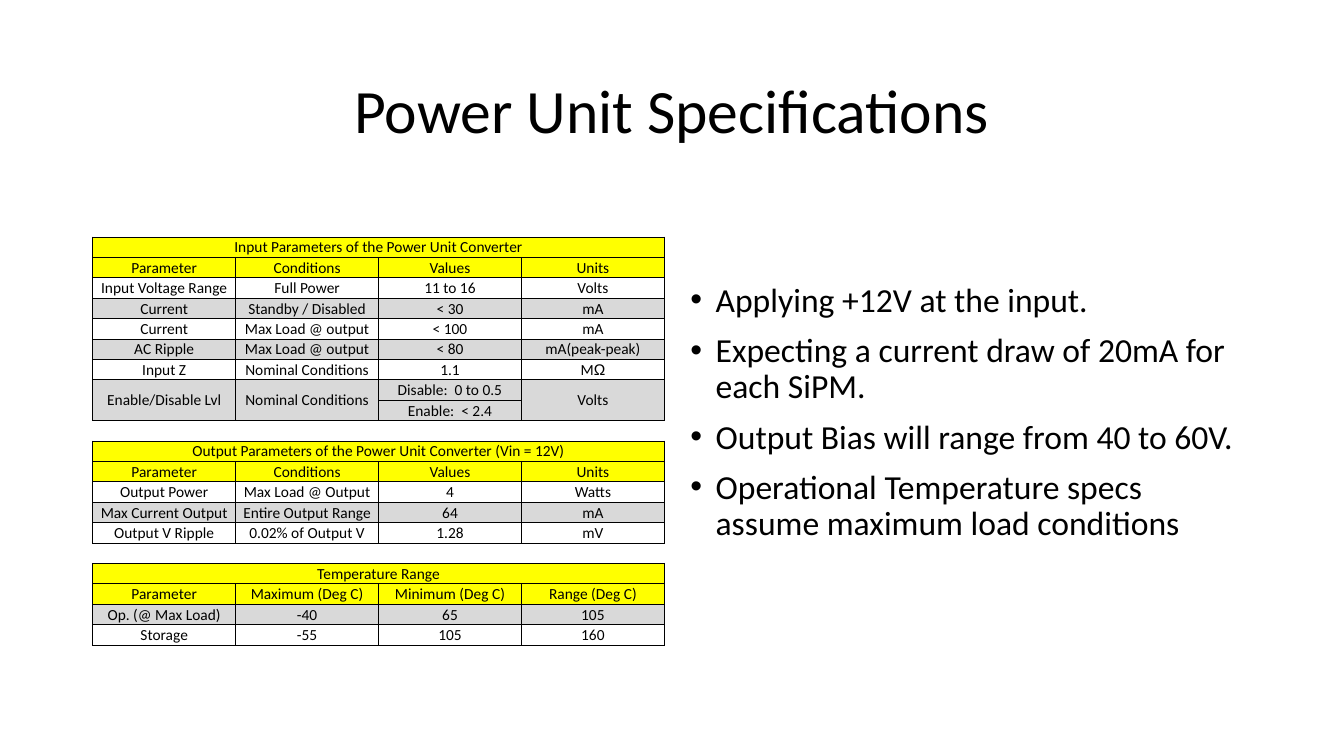
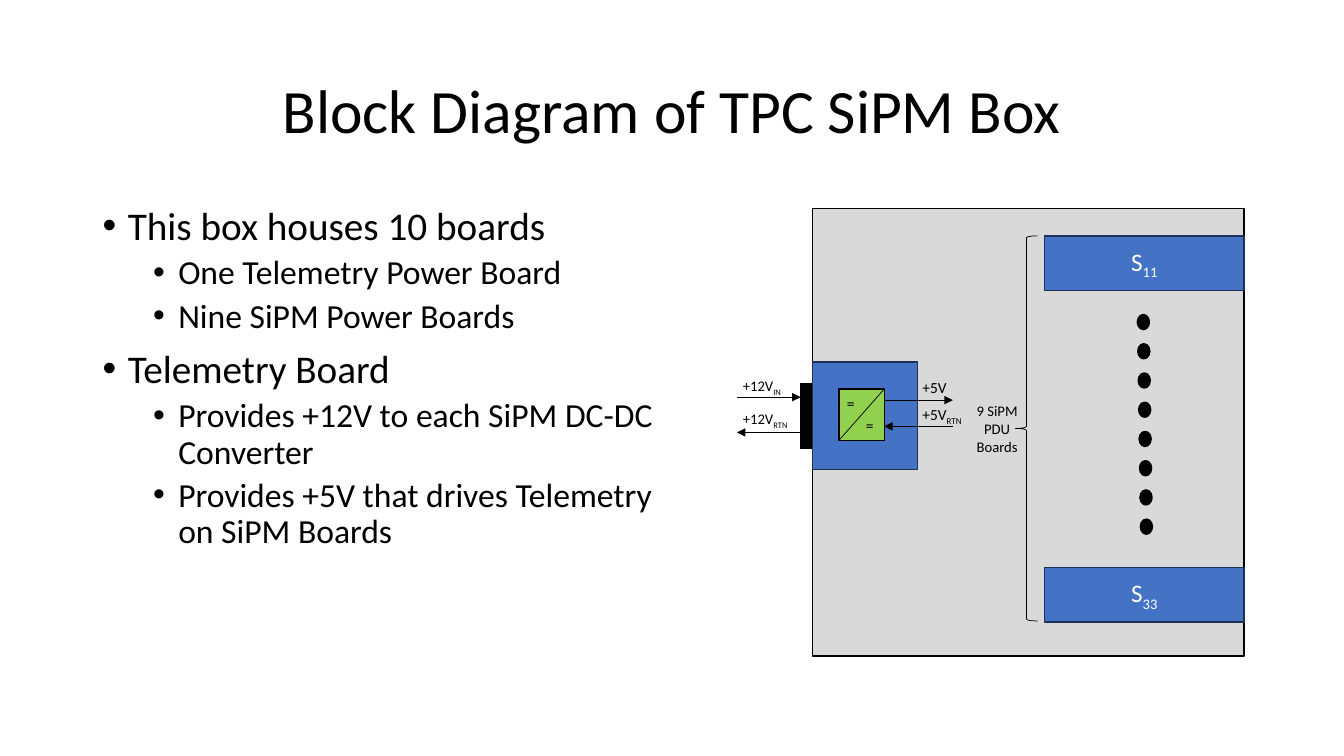
"""Build two slides: converter specifications and the block diagram of the SiPM box."""
from lxml.etree import SubElement
from pptx import Presentation
from pptx.dml.color import RGBColor
from pptx.enum.shapes import MSO_CONNECTOR, MSO_SHAPE
from pptx.enum.text import MSO_ANCHOR, MSO_AUTO_SIZE, PP_ALIGN
from pptx.oxml.ns import qn
from pptx.util import Inches, Pt

FONT = "Calibri"
BLACK, WHITE, GREY, YELLOW = "000000", "FFFFFF", "D9D9D9", "FFFF00"
BLUE, NAVY, GREEN = "4472C4", "1E3256", "92D050"
WIDTH, HEIGHT = 13.33, 7.5
MARGIN, COLUMN, GUTTER = 0.92, 5.67, 0.16
TITLE_AREA = (MARGIN, 0.4, WIDTH - 2 * MARGIN, 1.45)

SPEC_TITLE = "Power Unit Specifications"
SPEC_POINTS = [
    (0, "Applying +12V at the input."),
    (0, "Expecting a current draw of 20mA for each SiPM."),
    (0, "Output Bias will range from 40 to 60V."),
    (0, "Operational Temperature specs assume maximum load conditions"),
]
PARAMETER_HEAD = ("Parameter", "Conditions", "Values", "Units")
SPEC_SECTIONS = [
    ("Input Parameters of the Power Unit Converter", PARAMETER_HEAD, False, [
        ("Input Voltage Range", "Full Power", "11 to 16", "Volts"),
        ("Current", "Standby / Disabled", "< 30", "mA"),
        ("Current", "Max Load @ output", "< 100", "mA"),
        ("AC Ripple", "Max Load @ output", "< 80", "mA(peak-peak)"),
        ("Input Z", "Nominal Conditions", "1.1", "M|Ω"),
        ("Enable/Disable Lvl", "Nominal Conditions", "Disable:  0 to 0.5", "Volts"),
        (None, None, "Enable:  < 2.4", None),
    ]),
    ("Output Parameters of the Power Unit Converter (Vin = 12V)", PARAMETER_HEAD, False, [
        ("Output Power", "Max Load @ Output", "4", "Watts"),
        ("Max Current Output", "Entire Output Range", "64", "mA"),
        ("Output V Ripple", "0.02% of Output V", "1.28", "mV"),
    ]),
    ("Temperature Range",
     ("Parameter", "Maximum (Deg C)", "Minimum (Deg C)", "Range (Deg C)"), True, [
         ("Op. (@ Max Load)", "-40", "65", "105"),
         ("Storage", "-55", "105", "160"),
     ]),
]

BOX_TITLE = "Block Diagram of TPC SiPM Box"
BOX_POINTS = [
    (0, "This box houses 10 boards"),
    (1, "One Telemetry Power Board"),
    (1, "Nine SiPM Power Boards"),
    (0, "Telemetry Board"),
    (1, "Provides +12V to each SiPM DC-DC Converter"),
    (1, "Provides +5V that drives Telemetry on SiPM Boards"),
]
ENCLOSURE = (8.06, 2.07, 4.28, 4.44)
CONNECTOR_BLOCK = (7.94, 3.81, 0.12, 0.64)
TELEMETRY_BOARD = (8.06, 3.59, 1.04, 1.07)
CONVERTER = (8.32, 3.86, 0.45, 0.51)
SIPM_BOARDS = [("S|11", 2.34), ("S|33", 5.63)]
BOARD_LEFT, BOARD_WIDTH, BOARD_HEIGHT = 10.36, 1.98, 0.54
DOT_COUNT, DOT_TOP, DOT_STEP = 8, 3.12, 0.29
SIGNALS = [
    (7.31, 7.94, 3.94, "tailEnd"),
    (7.31, 7.94, 4.29, "headEnd"),
    (8.77, 9.45, 3.97, "tailEnd"),
    (8.77, 9.45, 4.23, "headEnd"),
]
LABELS = [
    ("+12V|IN", (7.27, 3.69, 0.62, 0.29), 10.5, PP_ALIGN.LEFT),
    ("+12V|RTN", (7.27, 4.02, 0.67, 0.28), 10.5, PP_ALIGN.LEFT),
    ("=", (8.3, 3.86, 0.28, 0.29), 11, PP_ALIGN.LEFT),
    ("=", (8.49, 4.08, 0.28, 0.29), 11, PP_ALIGN.LEFT),
    ("+5V", (9.05, 3.7, 0.45, 0.29), 11, PP_ALIGN.LEFT),
    ("+5V|RTN", (9.05, 3.97, 0.62, 0.29), 11, PP_ALIGN.LEFT),
    ("9 SiPM\vPDU\vBoards", (9.58, 3.94, 0.62, 0.63), 10.5, PP_ALIGN.CENTER),
]


def rgb(code):
    """Turn a hex string into a colour."""
    return RGBColor.from_string(code)


def inches(area):
    """Convert a sequence of inch values to lengths."""
    return [Inches(value) for value in area]


def subscript(run):
    """Lower a run below the baseline."""
    run.font._element.set("baseline", "-25000")


def symbol(run):
    """Set a run in the symbol font."""
    run.font.name = "Arial"


def write(paragraph, text, size, color=BLACK, align=PP_ALIGN.CENTER, tail_style=subscript):
    """Fill a paragraph; the part after a bar gets the tail style."""
    main, _, tail = text.partition("|")
    paragraph.text = main
    if tail:
        run = paragraph.add_run()
        run.text = tail
        tail_style(run)
    paragraph.alignment = align
    paragraph.font.name = FONT
    paragraph.font.size = Pt(size)
    paragraph.font.color.rgb = rgb(color)


def add_titled_slide(deck, title):
    """Add a title-only slide with the shared title style."""
    slide = deck.slides.add_slide(deck.slide_layouts[5])
    heading = slide.shapes.title
    heading.left, heading.top, heading.width, heading.height = inches(TITLE_AREA)
    heading.text_frame.vertical_anchor = MSO_ANCHOR.MIDDLE
    write(heading.text_frame.paragraphs[0], title, 44)
    heading.text_frame.paragraphs[0].line_spacing = 0.9
    return slide


def add_points(slide, area, points, sizes):
    """Add a bulleted list with one text size per level."""
    frame = slide.shapes.add_textbox(*inches(area)).text_frame
    frame.word_wrap = True
    for index, (level, text) in enumerate(points):
        paragraph = frame.add_paragraph() if index else frame.paragraphs[0]
        write(paragraph, text, sizes[level], align=PP_ALIGN.LEFT)
        paragraph.level = level
        paragraph.line_spacing = 0.9
        paragraph.space_before = Pt((10, 5)[level])
        properties = paragraph._p.get_or_add_pPr()
        properties.set("marL", str(Inches(0.25 + 0.5 * level)))
        properties.set("indent", str(Inches(-0.25)))
        bullet = SubElement(properties, qn("a:buChar"), char="•")
        face = SubElement(properties, qn("a:buFont"), typeface="Arial")
        properties.find(qn("a:defRPr")).addprevious(face)
        face.addnext(bullet)


def set_borders(cell, sides):
    """Draw thin black borders on the given sides and none on the others."""
    properties = cell._tc.get_or_add_tcPr()
    for side in "LRTB":
        line = SubElement(properties, qn(f"a:ln{side}"), w=str(Pt(0.5)))
        if side in sides:
            SubElement(SubElement(line, qn("a:solidFill")), qn("a:srgbClr"), val=BLACK)
        else:
            SubElement(line, qn("a:noFill"))


def spec_rows():
    """List the table rows as fill and cell texts, with a gap between sections."""
    rows = []
    for title, head, shaded, records in SPEC_SECTIONS:
        if rows:
            rows.append((None, ("",) * 4))
        rows += [(YELLOW, (title, "", "", "")), (YELLOW, head)]
        for number, record in enumerate(records):
            if number and record[0] is not None:
                shaded = not shaded
            rows.append((GREY if shaded else None, record))
    return rows


def add_spec_table(slide, area):
    """Add the specification table."""
    rows = spec_rows()
    table = slide.shapes.add_table(len(rows), 4, *inches(area)).table
    table.first_row = table.horz_banding = False
    for r, (fill, texts) in enumerate(rows):
        for c, text in enumerate(texts):
            cell = table.cell(r, c)
            cell.margin_left = cell.margin_right = cell.margin_top = Inches(0.01)
            cell.margin_bottom = 0
            cell.vertical_anchor = MSO_ANCHOR.MIDDLE
            set_borders(cell, "LRTB" if any(texts) else "TB")
            if fill:
                cell.fill.solid()
                cell.fill.fore_color.rgb = rgb(fill)
            else:
                cell.fill.background()
            write(cell.text_frame.paragraphs[0], text or "", 11, tail_style=symbol)
            if text is None:
                table.cell(r - 1, c).merge(cell)
        if texts[0] and not texts[1]:
            table.cell(r, 0).merge(table.cell(r, 3))


def add_block(slide, area, fill=None, line=BLACK, kind=MSO_SHAPE.RECTANGLE, weight=1):
    """Add a flat preset shape."""
    block = slide.shapes.add_shape(kind, *inches(area))
    block.shadow.inherit = False
    if fill:
        block.fill.solid()
        block.fill.fore_color.rgb = rgb(fill)
    else:
        block.fill.background()
    block.line.color.rgb = rgb(line)
    block.line.width = Pt(weight)
    return block


def add_wire(slide, start, end, arrow=None):
    """Add a thin straight line with an optional arrowhead."""
    wire = slide.shapes.add_connector(MSO_CONNECTOR.STRAIGHT, *inches(start + end))
    wire.line.color.rgb = rgb(BLACK)
    wire.line.width = Pt(0.5)
    if arrow:
        SubElement(wire.line._get_or_add_ln(), qn(f"a:{arrow}"), type="triangle")
    SubElement(wire._element.spPr, qn("a:effectLst"))


def add_label(slide, text, area, size, align):
    """Add a small label that does not wrap."""
    frame = slide.shapes.add_textbox(*inches(area)).text_frame
    frame.word_wrap = False
    frame.auto_size = MSO_AUTO_SIZE.SHAPE_TO_FIT_TEXT
    write(frame.paragraphs[0], text, size, align=align)


def add_diagram(slide):
    """Draw the box with its boards, signals and labels."""
    add_block(slide, ENCLOSURE, GREY)
    for text, top in SIPM_BOARDS:
        board = add_block(slide, (BOARD_LEFT, top, BOARD_WIDTH, BOARD_HEIGHT), BLUE, NAVY)
        board.text_frame.vertical_anchor = MSO_ANCHOR.MIDDLE
        write(board.text_frame.paragraphs[0], text, 18, WHITE)
    for i in range(DOT_COUNT):
        dot = (11.28 + 0.03 * i / (DOT_COUNT - 1), DOT_TOP + i * DOT_STEP, 0.12, 0.15)
        add_block(slide, dot, BLACK, kind=MSO_SHAPE.OVAL)
    add_block(slide, CONNECTOR_BLOCK, BLACK)
    add_block(slide, TELEMETRY_BOARD, BLUE, NAVY)
    add_block(slide, CONVERTER, GREEN)
    left, top, width, height = CONVERTER
    add_wire(slide, (left + width, top), (left, top + height))
    for start, end, y, arrow in SIGNALS:
        add_wire(slide, (start, y), (end, y), arrow)
    add_block(slide, (10.07, 2.34, 0.22, 3.82), kind=MSO_SHAPE.LEFT_BRACE, weight=0.5)
    for label in LABELS:
        add_label(slide, *label)


def main():
    """Build and save the deck."""
    deck = Presentation()
    deck.slide_width, deck.slide_height = inches((WIDTH, HEIGHT))

    specifications = add_titled_slide(deck, SPEC_TITLE)
    add_spec_table(specifications, (MARGIN, 2.35, COLUMN, 4.05))
    add_points(specifications, (MARGIN + COLUMN + GUTTER, 2.76, COLUMN, 3.79), SPEC_POINTS, (24,))

    box = add_titled_slide(deck, BOX_TITLE)
    add_points(box, (MARGIN, 2, COLUMN, 4.76), BOX_POINTS, (28, 24))
    add_diagram(box)

    deck.save("out.pptx")


if __name__ == "__main__":
    main()
